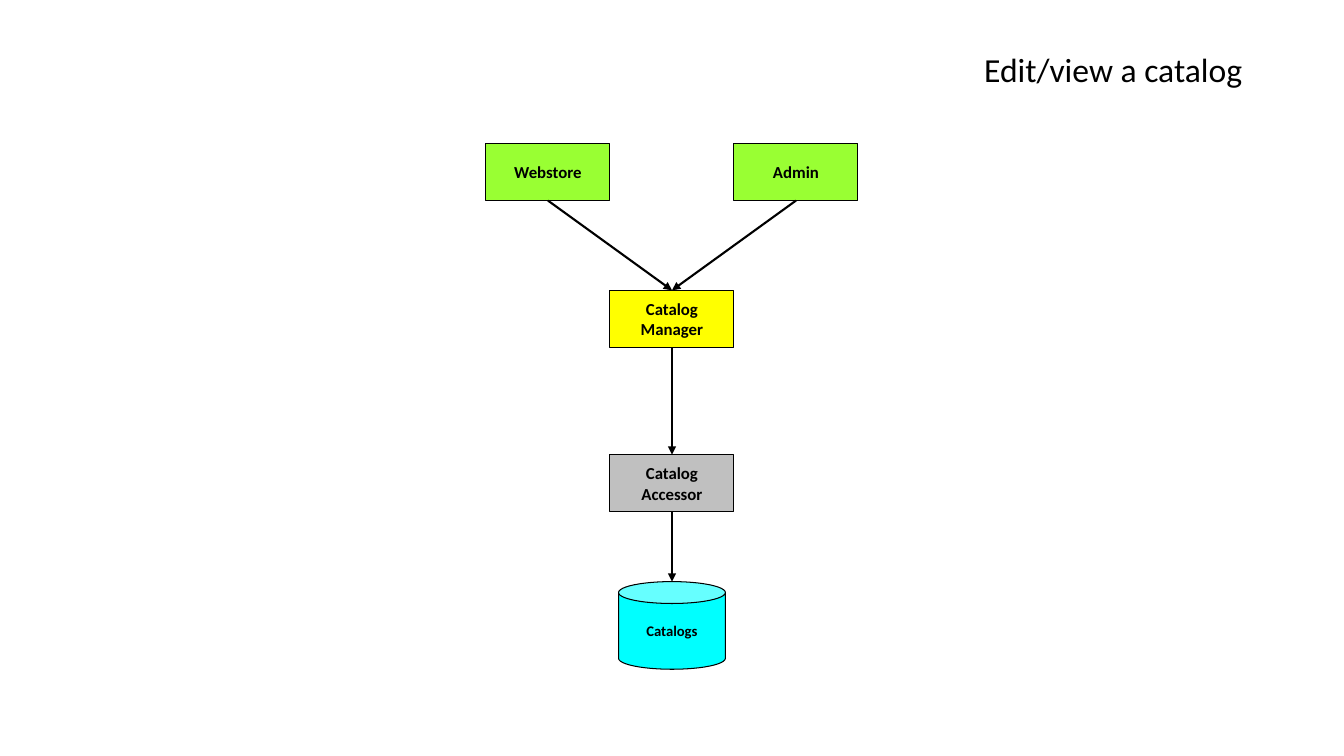
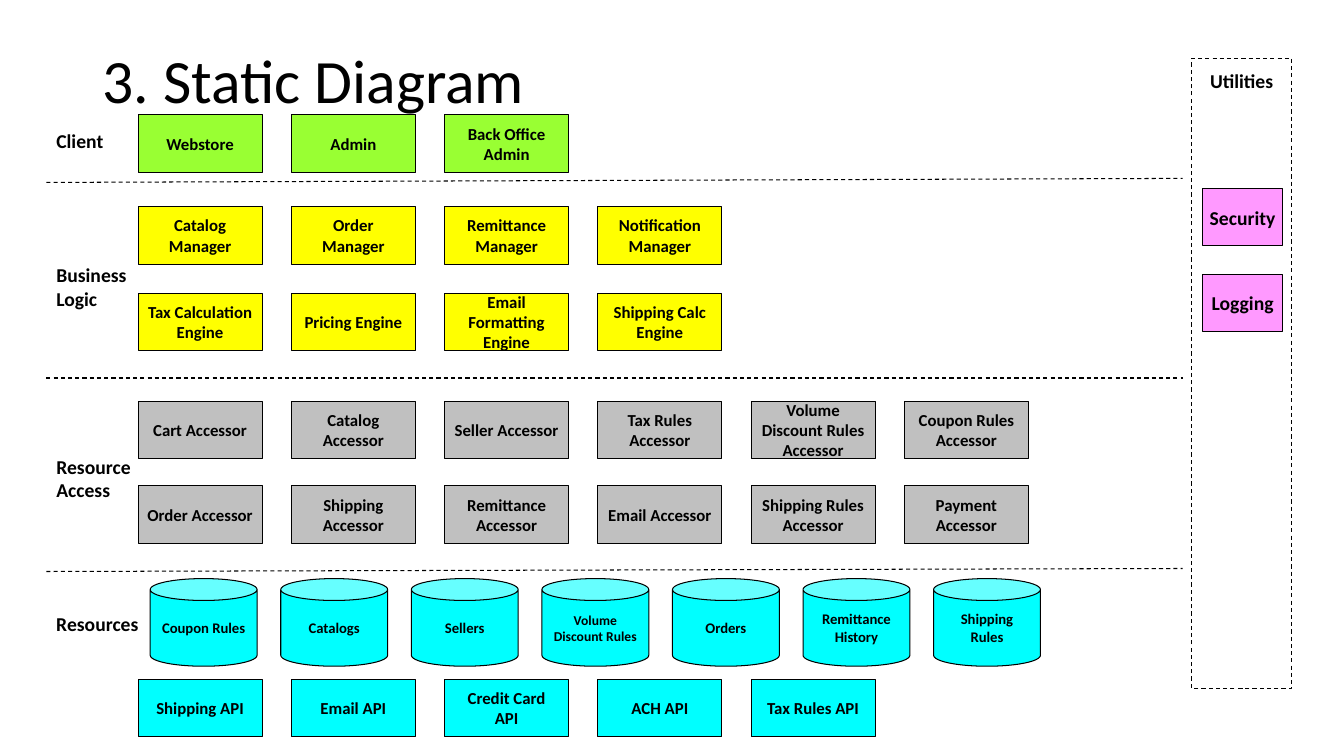
import pptx
import pptx.util
import pptx.dml.color
import pptx.enum.dml
import pptx.enum.shapes
import pptx.enum.text
import pptx.oxml
import pptx.oxml.ns

Inches, Pt = pptx.util.Inches, pptx.util.Pt
RGB = pptx.dml.color.RGBColor
SHAPE = pptx.enum.shapes.MSO_SHAPE
ALIGN = pptx.enum.text.PP_ALIGN
ANCHOR = pptx.enum.text.MSO_ANCHOR
DASH = pptx.enum.dml.MSO_LINE.DASH

# Shared look: one colour for each layer
FONT = "Calibri"
BLACK = RGB(0x00, 0x00, 0x00)
CLIENT = RGB(0x99, 0xFF, 0x33)
LOGIC = RGB(0xFF, 0xFF, 0x00)
ACCESS = RGB(0xC0, 0xC0, 0xC0)
RESOURCE = RGB(0x00, 0xFF, 0xFF)
UTILITY = RGB(0xFF, 0x99, 0xFF)

# Grid, in inches
SLIDE_W, SLIDE_H = 13.33, 7.5
BOX_W, BOX_H = 1.23, 0.57
CAN_W, CAN_H = 1.06, 0.87
LEFT, STEP = 1.37, 1.52
CAN_LEFT, CAN_STEP = 1.49, (9.26 - 1.49) / 6
LABEL_LEFT = 0.46
RULE_RIGHT = 11.73


def write(sp, text, size, bold=True, align=ALIGN.CENTER, anchor=ANCHOR.MIDDLE,
          wrap=True, inset=(0.1, 0.05), spacing=None):
    tf = sp.text_frame
    tf.word_wrap = wrap
    tf.vertical_anchor = anchor
    tf.margin_left = tf.margin_right = Inches(inset[0])
    tf.margin_top = tf.margin_bottom = Inches(inset[1])
    tf.text = text
    for p in tf.paragraphs:
        p.alignment = align
        p.line_spacing = spacing
        p.font.name = FONT
        p.font.size = Pt(size)
        p.font.bold = bold
        p.font.color.rgb = BLACK


def add_title(slide, text, size, height, align):
    sp = slide.shapes.add_textbox(Inches(0.92), Inches(0.4), Inches(11.5), Inches(height))
    write(sp, text, size, bold=False, align=align, spacing=0.9)


def add_outline(slide, kind, x, y, w, h, fill=None):
    sp = slide.shapes.add_shape(kind, Inches(x), Inches(y), Inches(w), Inches(h))
    sp.shadow.inherit = False
    if fill is None:
        sp.fill.background()
    else:
        sp.fill.solid()
        sp.fill.fore_color.rgb = fill
    sp.line.color.rgb = BLACK
    sp.line.width = Pt(0.75)
    return sp


def add_box(slide, text, x, y, fill, w=BOX_W, size=12, wrap=True):
    sp = add_outline(slide, SHAPE.RECTANGLE, x, y, w, BOX_H, fill)
    write(sp, text, size, wrap=wrap, inset=(0.09, 0))
    return sp


def add_can(slide, text, x, y, size=10.5):
    sp = add_outline(slide, SHAPE.CAN, x, y, CAN_W, CAN_H, RESOURCE)
    write(sp, text, size)
    return sp


def add_row(slide, texts, y, fill):
    for col, text in enumerate(texts):
        add_box(slide, text, LEFT + col * STEP, y, fill)


def add_label(slide, text, y, w, h):
    sp = slide.shapes.add_textbox(Inches(LABEL_LEFT), Inches(y), Inches(w), Inches(h))
    write(sp, text, 14, align=ALIGN.LEFT, anchor=ANCHOR.TOP, wrap=False)


def add_line(slide, x1, y1, x2, y2, width):
    line = slide.shapes.add_connector(pptx.enum.shapes.MSO_CONNECTOR.STRAIGHT, x1, y1, x2, y2)
    line.line.color.rgb = BLACK
    line.line.width = Pt(width)
    line._element.spPr.append(pptx.oxml.parse_xml(
        "<a:effectLst %s/>" % pptx.oxml.ns.nsdecls("a")))
    return line


def add_rule(slide, y_left, y_right):
    rule = add_line(slide, Inches(LABEL_LEFT), Inches(y_left),
                    Inches(RULE_RIGHT), Inches(y_right), 0.75)
    rule.line.dash_style = DASH


def add_arrow(slide, upper, lower):
    """Arrow from the bottom centre of one shape to the top centre of another."""
    arrow = add_line(slide, upper.left + upper.width // 2, upper.top + upper.height,
                     lower.left + lower.width // 2, lower.top, 1.5)
    arrow.line._get_or_add_ln().append(pptx.oxml.parse_xml(
        '<a:tailEnd type="triangle" %s/>' % pptx.oxml.ns.nsdecls("a")))


def build_catalog_flow(slide):
    add_title(slide, "Edit/view a catalog", 24, 0.63, ALIGN.RIGHT)
    mid = (SLIDE_W - BOX_W) / 2
    webstore = add_box(slide, "Webstore", mid - BOX_W, 1.42, CLIENT)
    admin = add_box(slide, "Admin", mid + BOX_W, 1.42, CLIENT)
    manager = add_box(slide, "Catalog Manager", mid, 2.88, LOGIC)
    accessor = add_box(slide, "Catalog Accessor", mid, 4.51, ACCESS)
    catalogs = add_can(slide, "Catalogs", (SLIDE_W - CAN_W) / 2, 5.77)
    for upper, lower in ((webstore, manager), (admin, manager),
                         (manager, accessor), (accessor, catalogs)):
        add_arrow(slide, upper, lower)


def build_static_diagram(slide):
    add_title(slide, "3. Static Diagram", 44, 0.85, ALIGN.LEFT)

    # Layer dividers and names
    for ends in ((1.81, 1.77), (3.75, 3.75), (5.67, 5.64)):
        add_rule(slide, *ends)
    for label in (("Client", 1.23, 0.68, 0.34),
                  ("Business\vLogic", 2.56, 0.91, 0.57),
                  ("Resource\vAccess", 4.46, 0.95, 0.57),
                  ("Resources", 6.02, 1.03, 0.34)):
        add_label(slide, *label)

    # Boxes of each layer
    rows = (
        (1.14, CLIENT, ("Webstore", "Admin", "Back Office\nAdmin")),
        (2.05, LOGIC, ("Catalog Manager", "Order Manager", "Remittance Manager",
                       "Notification Manager")),
        (2.91, LOGIC, ("Tax Calculation Engine", "Pricing Engine",
                       "Email Formatting Engine", "Shipping Calc Engine")),
        (3.98, ACCESS, ("Cart Accessor", "Catalog Accessor", "Seller Accessor",
                        "Tax Rules Accessor", "Volume Discount Rules Accessor",
                        "Coupon Rules Accessor")),
        (4.82, ACCESS, ("Order Accessor", "Shipping Accessor", "Remittance Accessor",
                        "Email Accessor", "Shipping Rules Accessor", "Payment Accessor")),
        (6.74, RESOURCE, ("Shipping API", "Email API", "Credit Card\vAPI", "ACH API",
                          "Tax Rules API")),
    )
    for y, fill, texts in rows:
        add_row(slide, texts, y, fill)

    # Data stores
    stores = ("Coupon Rules", "Catalogs", "Sellers", "Volume Discount Rules", "Orders",
              "Remittance History", "Shipping Rules")
    for col, store in enumerate(stores):
        size = 9.7 if len(store) > 20 else 10.5
        add_can(slide, store, CAN_LEFT + col * CAN_STEP, 5.74, size)

    # Utilities column
    panel = add_outline(slide, SHAPE.RECTANGLE, 11.82, 0.58, 0.99, 6.25)
    panel.line.dash_style = DASH
    write(panel, "Utilities", 14, anchor=ANCHOR.TOP, wrap=False, inset=(0.1, 0.1))
    for text, y in (("Security", 1.87), ("Logging", 2.72)):
        add_box(slide, text, 11.93, y, UTILITY, w=0.79, size=14, wrap=False)


def main():
    prs = pptx.Presentation()
    prs.slide_width, prs.slide_height = Inches(SLIDE_W), Inches(SLIDE_H)
    blank = prs.slide_layouts[6]
    for build in (build_catalog_flow, build_static_diagram):
        build(prs.slides.add_slide(blank))
    prs.save("out.pptx")


main()
